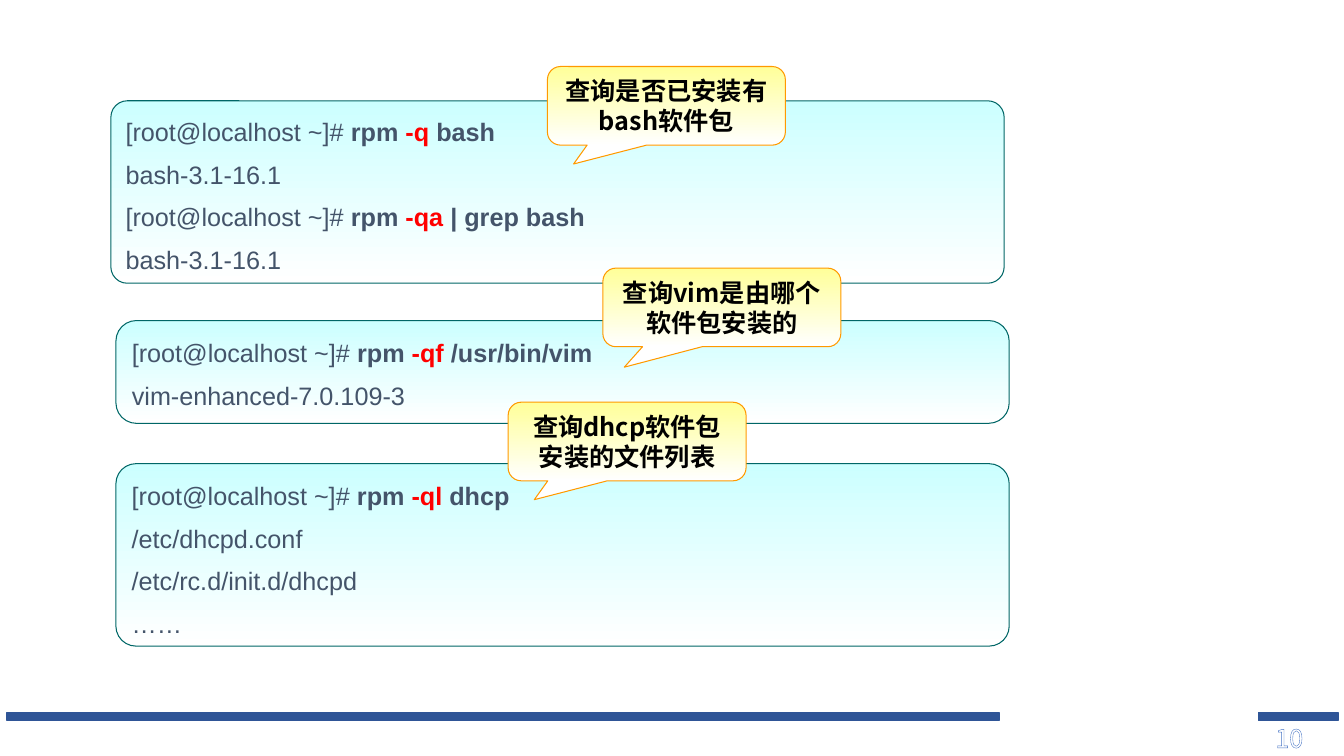
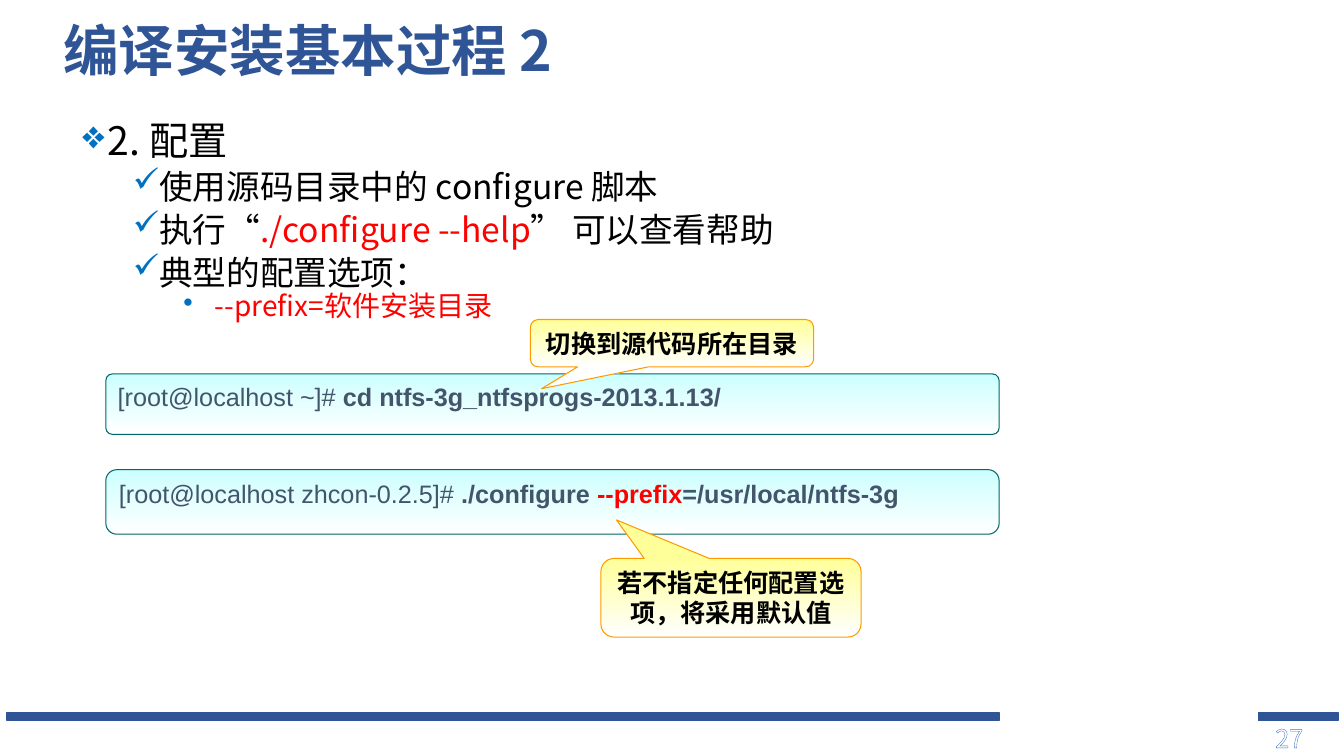
from dataclasses import dataclass

from lxml import etree
from pptx import Presentation
from pptx import util as u
from pptx.dml.color import RGBColor
from pptx.enum import dml, shapes, text
from pptx.oxml import ns


@dataclass(frozen=True)
class Theme:
    navy: str = "2F5597"
    slate: str = "44546A"
    red: str = "FF0000"
    black: str = "000000"
    white: str = "FFFFFF"
    bullet: str = "0070C0"
    number: str = "8FAADC"
    number_line: str = "4472C4"
    panel: str = "CCFFFF"
    panel_line: str = "006666"
    note: str = "FFFF99"
    note_line: str = "FF9900"
    cjk: str = "Noto Sans CJK SC"
    mono: str = "Arial"
    title_size: float = 39.6
    small_size: float = 18
    body_sizes: tuple = (28, 24, 20)
    body_pitch: tuple = (30, 26, 21.6)
    body_before: tuple = (0, 4.8, 0)
    note_pitch: float = 21.5


T = Theme()
STYLES = {
    "plain": dict(name=T.mono, size=T.small_size, color=T.slate, bold=False),
    "cmd": dict(name=T.mono, size=T.small_size, color=T.slate, bold=True),
    "flag": dict(name=T.mono, size=T.small_size, color=T.red, bold=True),
    "note": dict(name=T.cjk, size=T.small_size, color=T.black, bold=True),
    "title": dict(name=T.cjk, size=T.title_size, color=T.navy, bold=True),
    "number": dict(name=T.cjk, size=T.small_size),
}
HOME = ("[root@localhost ~]# ", "plain")


def rgb(value):
    return RGBColor.from_string(value)


def inches(box):
    return [u.Inches(v) for v in box]


def add_run(p, words, fmt):
    r = p.add_run()
    r.text = words
    for key, value in fmt.items():
        if key == "color":
            r.font.color.rgb = rgb(value)
        elif key == "size":
            r.font.size = u.Pt(value)
        else:
            setattr(r.font, key, value)
    ea = etree.SubElement(r.font._element, ns.qn("a:ea"))
    ea.set("typeface", fmt["name"])
    return r


def add_paragraph(tf, index):
    return tf.paragraphs[0] if index == 0 else tf.add_paragraph()


def add_text_box(s, box):
    tf = s.shapes.add_textbox(*inches(box)).text_frame
    tf.word_wrap = True
    return tf


def add_card(s, kind, box, adjustments, top_color, line_color):
    sp = s.shapes.add_shape(kind, *inches(box))
    sp.shadow.inherit = False
    for i, value in enumerate(adjustments):
        sp.adjustments[i] = value
    sp.fill.gradient()
    sp.fill.gradient_angle = 270
    for stop, color in zip(sp.fill.gradient_stops, (top_color, T.white)):
        stop.color.rgb = rgb(color)
    sp.line.color.rgb = rgb(line_color)
    sp.line.width = u.Pt(0.75)
    sp.text_frame.word_wrap = True
    return sp.text_frame


def add_terminal(s, box, corner, lines, spacing=1.0, before=0):
    tf = add_card(s, shapes.MSO_SHAPE.ROUNDED_RECTANGLE, box, [corner],
                  T.panel, T.panel_line)
    tf.vertical_anchor = text.MSO_ANCHOR.TOP
    for i, runs in enumerate(lines):
        p = add_paragraph(tf, i)
        p.alignment = text.PP_ALIGN.LEFT
        p.line_spacing = spacing
        p.space_before = u.Pt(before if i else 0)
        for words, style in runs:
            add_run(p, words, STYLES[style])


def add_note(s, box, tail, words):
    tf = add_card(s, shapes.MSO_SHAPE.ROUNDED_RECTANGULAR_CALLOUT, box,
                  [*tail, 0.167], T.note, T.note_line)
    tf.vertical_anchor = text.MSO_ANCHOR.MIDDLE
    p = tf.paragraphs[0]
    p.alignment = text.PP_ALIGN.CENTER
    p.line_spacing = u.Pt(T.note_pitch)
    add_run(p, words, STYLES["note"])


def add_footer(s, number):
    for left, width in ((0.07, 9.84), (12.48, 0.79)):
        sp = s.shapes.add_shape(shapes.MSO_SHAPE.RECTANGLE,
                                *inches((left, 7.07, width, 0.08)))
        sp.shadow.inherit = False
        sp.fill.solid()
        sp.fill.fore_color.rgb = sp.line.color.rgb = rgb(T.navy)
        sp.line.width = u.Pt(1)
    tf = add_text_box(s, (12.55, 7.12, 0.72, 0.4))
    r = add_run(tf.paragraphs[0], number, STYLES["number"])
    fill = r.font.fill
    fill.patterned()
    fill.pattern = dml.MSO_PATTERN.LIGHT_DOWNWARD_DIAGONAL
    fill.fore_color.rgb = rgb(T.number)
    fill.back_color.rgb = rgb(T.white)
    ln = etree.Element(ns.qn("a:ln"), w=str(u.Pt(1)))
    solid = etree.SubElement(ln, ns.qn("a:solidFill"))
    etree.SubElement(solid, ns.qn("a:srgbClr"), val=T.number_line)
    r.font._element.insert(0, ln)


def add_title(s, words):
    tf = add_text_box(s, (0.53, 0.18, 9.58, 0.7))
    tf.vertical_anchor = text.MSO_ANCHOR.MIDDLE
    p = tf.paragraphs[0]
    p.line_spacing = 0.9
    add_run(p, words, STYLES["title"])


def add_bullet(p, level):
    pPr = p._p.get_or_add_pPr()
    pPr.set("marL", str(u.Inches(0.25 + 0.5 * level)))
    pPr.set("indent", str(u.Inches(-0.25)))
    color = etree.SubElement(pPr, ns.qn("a:buClr"))
    etree.SubElement(color, ns.qn("a:srgbClr"), val=T.bullet)
    etree.SubElement(pPr, ns.qn("a:buChar"), char="❖✓•"[level])


def add_outline(s, box, items):
    tf = add_text_box(s, box)
    for i, (level, runs) in enumerate(items):
        p = add_paragraph(tf, i)
        add_bullet(p, level)
        p.level = level
        p.line_spacing = u.Pt(T.body_pitch[level])
        p.space_before = u.Pt(T.body_before[level])
        for words, color in runs:
            add_run(p, words, dict(name=T.cjk, size=T.body_sizes[level], color=color))


def query_slide(s):
    terminals = [
        ((1.1, 1, 8.86, 1.81), 0.09, [
            [HOME, ("rpm ", "cmd"), ("-q ", "flag"), ("bash", "cmd")],
            [("bash-3.1-16.1", "plain")],
            [HOME, ("rpm", "cmd"), (" -qa ", "flag"), ("| grep bash", "cmd")],
            [("bash-3.1-16.1", "plain")],
        ]),
        ((1.15, 3.18, 8.86, 1.02), 0.2, [
            [HOME, ("rpm", "cmd"), (" -qf ", "flag"), ("/usr/bin/vim", "cmd")],
            [("vim-enhanced-7.0.109-3", "plain")],
        ]),
        ((1.15, 4.6, 8.86, 1.81), 0.11, [
            [HOME, ("rpm ", "cmd"), ("-ql ", "flag"), ("dhcp", "cmd")],
            [("/etc/dhcpd.conf", "plain")],
            [("/etc/rc.d/init.d/dhcpd", "plain")],
            [("……", "plain")],
        ]),
    ]
    for box, corner, lines in terminals:
        add_terminal(s, box, corner, lines, spacing=1.2, before=4.5)
    for left, top, tail, words in (
        (5.43, 0.66, (-0.39, 0.74), "查询是否已安装有bash软件包"),
        (5.98, 2.66, (-0.41, 0.76), "查询vim是由哪个软件包安装的"),
        (5.04, 3.99, (-0.39, 0.74), "查询dhcp软件包安装的文件列表"),
    ):
        add_note(s, (left, top, 2.36, 0.78), tail, words)


def configure_slide(s):
    add_outline(s, (0.72, 1.15, 9.3, 5.62), [
        (0, [("2. 配置", T.black)]),
        (1, [("使用源码目录中的 configure 脚本", T.black)]),
        (1, [("执行“", T.black), ("./configure --help", T.red),
             ("” 可以查看帮助", T.black)]),
        (1, [("典型的配置选项：", T.black)]),
        (2, [(" --prefix=软件安装目录", T.red)]),
    ])
    add_title(s, "编译安装基本过程 2")
    add_terminal(s, (1.05, 3.71, 8.86, 0.6), 0.11,
                 [[HOME, ("cd ntfs-3g_ntfsprogs-2013.1.13/", "cmd")]])
    add_terminal(s, (1.05, 4.66, 8.86, 0.64), 0.17,
                 [[("[root@localhost zhcon-0.2.5]# ", "plain"), ("./configure ", "cmd"),
                   ("--prefix", "flag"), ("=/usr/local/ntfs-3g", "cmd")]])
    add_note(s, (5.26, 3.17, 2.81, 0.47), (-0.46, 0.96), "切换到源代码所在目录")
    add_note(s, (5.96, 5.54, 2.58, 0.78), (-0.44, -0.99),
             "若不指定任何配置选项，将采用默认值")


def main():
    prs = Presentation()
    prs.slide_width, prs.slide_height = u.Inches(13.33), u.Inches(7.5)
    for number, build in (("10", query_slide), ("27", configure_slide)):
        s = prs.slides.add_slide(prs.slide_layouts[6])
        add_footer(s, number)
        build(s)
    prs.save("out.pptx")


if __name__ == "__main__":
    main()
